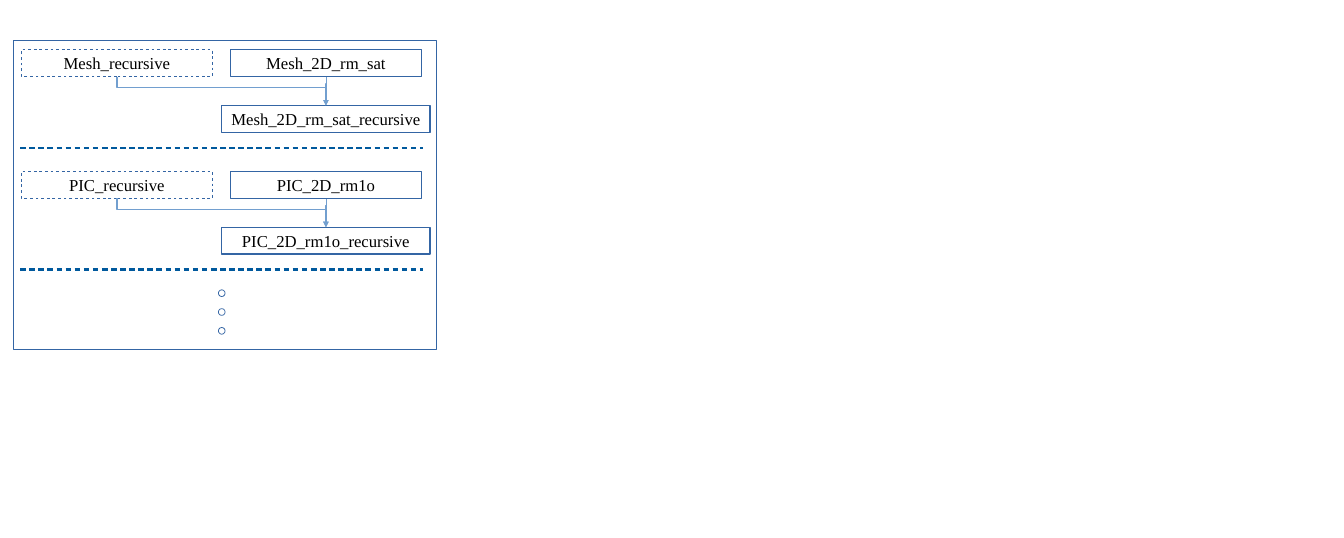
from dataclasses import dataclass

from lxml.etree import SubElement
from pptx import Presentation
from pptx.dml.color import RGBColor
from pptx.dml.line import LineFormat
from pptx.enum.shapes import MSO_CONNECTOR, MSO_SHAPE
from pptx.enum.text import MSO_ANCHOR, PP_ALIGN
from pptx.oxml.ns import qn
from pptx.shapes.autoshape import Shape
from pptx.shapes.connector import Connector
from pptx.slide import Slide
from pptx.util import Emu, Pt

PX = 9144  # one px is a hundredth of an inch
COLORS = {"paper": "FFFFFF", "outline": "3465A4", "arrow": "729FCF",
          "separator": "00599D", "text": "000000"}
FRAME_FORMAT = {"word_wrap": False, "vertical_anchor": MSO_ANCHOR.MIDDLE,
                "margin_left": 11 * PX, "margin_right": 11 * PX,
                "margin_top": 6 * PX, "margin_bottom": 6 * PX}
FONT_FORMAT = {"name": "Times New Roman", "size": Pt(17.9)}
BOX_HEIGHT = 40
SECTION_TOP, SECTION_PITCH = 74, 181
RESULT_DROP, SEPARATOR_DROP = 83, 146
BOX_DASH, SEPARATOR_DASH = (200, 200), (200, 124)  # dash, gap: % of line width


@dataclass(frozen=True)
class Section:
    recursive: str
    model: str
    result: str


@dataclass(frozen=True)
class Elbow:
    start_x: int
    end_x: int
    bend: int  # share of the drop before the turn, in thousandths


SECTIONS = [
    Section("Mesh_recursive", "Mesh_2D_rm_sat", "Mesh_2D_rm_sat_recursive"),
    Section("PIC_recursive", "PIC_2D_rm1o", "PIC_2D_rm1o_recursive"),
]
ELBOWS = [Elbow(174, 485, 378), Elbow(486, 485, 256)]


def px(length: float) -> Emu:
    return Emu(round(length * PX))


def color(name: str) -> RGBColor:
    return RGBColor.from_string(COLORS[name])


def style_line(line: LineFormat, name: str, width: float,
               dash: tuple[int, int] | None = None) -> None:
    line.color.rgb = color(name)
    line.width = Pt(width)
    if dash:
        pattern = SubElement(line._get_or_add_ln(), qn("a:custDash"))
        SubElement(pattern, qn("a:ds"), d=str(dash[0] * 1000), sp=str(dash[1] * 1000))


def add_outline(page: Slide, kind: MSO_SHAPE, left: int, top: int, width: int,
                height: int, line_width: float, filled: bool = True,
                dash: tuple[int, int] | None = None) -> Shape:
    shape = page.shapes.add_shape(kind, px(left), px(top), px(width), px(height))
    shape.shadow.inherit = False
    if filled:
        shape.fill.solid()
        shape.fill.fore_color.rgb = color("paper")
    else:
        shape.fill.background()
    style_line(shape.line, "outline", line_width, dash)
    return shape


def add_box(page: Slide, text: str, left: int, top: int, width: int,
            dash: tuple[int, int] | None = None) -> None:
    box = add_outline(page, MSO_SHAPE.RECTANGLE, left, top, width, BOX_HEIGHT, 1.5, dash=dash)
    for key, value in FRAME_FORMAT.items():
        setattr(box.text_frame, key, value)
    para = box.text_frame.paragraphs[0]
    para.alignment = PP_ALIGN.CENTER
    span = para.add_run()
    span.text = text
    for key, value in FONT_FORMAT.items():
        setattr(span.font, key, value)
    span.font.color.rgb = color("text")


def add_line(page: Slide, kind: MSO_CONNECTOR, left: float, top: float,
             width: int, height: int) -> Connector:
    connector = page.shapes.add_connector(
        kind, px(left), px(top), px(left + width), px(top + height))
    SubElement(connector._element.spPr, qn("a:effectLst"))
    return connector


def add_elbow(page: Slide, elbow: Elbow, top: int, bottom: int) -> None:
    """Draw a down-across-down arrow: an elbow turned by a quarter."""
    drop, run = bottom - top, elbow.end_x - elbow.start_x
    middle_x, middle_y = (elbow.start_x + elbow.end_x) / 2, (top + bottom) / 2
    arrow = add_line(page, MSO_CONNECTOR.ELBOW, middle_x - drop / 2,
                     middle_y - abs(run) / 2, drop, abs(run))
    properties = arrow._element.spPr
    properties.xfrm.set("rot", str((270 if run > 0 else 90) * 60000))
    if run > 0:
        properties.xfrm.set("flipH", "1")
    adjustments = properties.prstGeom.get_or_add_avLst()
    SubElement(adjustments, qn("a:gd"), name="adj1", fmla=f"val {elbow.bend * 100}")
    style_line(arrow.line, "arrow", 1.5)
    SubElement(arrow.line._get_or_add_ln(), qn("a:tailEnd"), type="triangle")


def add_section(page: Slide, section: Section, top: int) -> None:
    add_box(page, section.result, 330, top + RESULT_DROP, 310)
    add_box(page, section.recursive, 32, top, 284, BOX_DASH)
    for elbow in ELBOWS:
        add_elbow(page, elbow, top + BOX_HEIGHT, top + RESULT_DROP)
    add_box(page, section.model, 343, top, 284)


def main() -> None:
    deck = Presentation()
    deck.slide_width, deck.slide_height = px(2000), px(800)
    page = deck.slides.add_slide(deck.slide_layouts[6])

    # Sections of boxes and arrows
    tops = [SECTION_TOP + index * SECTION_PITCH for index in range(len(SECTIONS))]
    for section, top in zip(SECTIONS, tops):
        add_section(page, section, top)

    # Continuation dots
    for index in range(3):
        add_outline(page, MSO_SHAPE.OVAL, 325, 431 + index * 28, 10, 10, 0.79)

    # Outer frame
    add_outline(page, MSO_SHAPE.RECTANGLE, 20, 60, 630, 460, 0, filled=False)

    # Separators
    for top in tops:
        separator = add_line(page, MSO_CONNECTOR.STRAIGHT, 30, top + SEPARATOR_DROP, 600, 0)
        style_line(separator.line, "separator", 3, SEPARATOR_DASH)

    deck.save("out.pptx")


if __name__ == "__main__":
    main()
